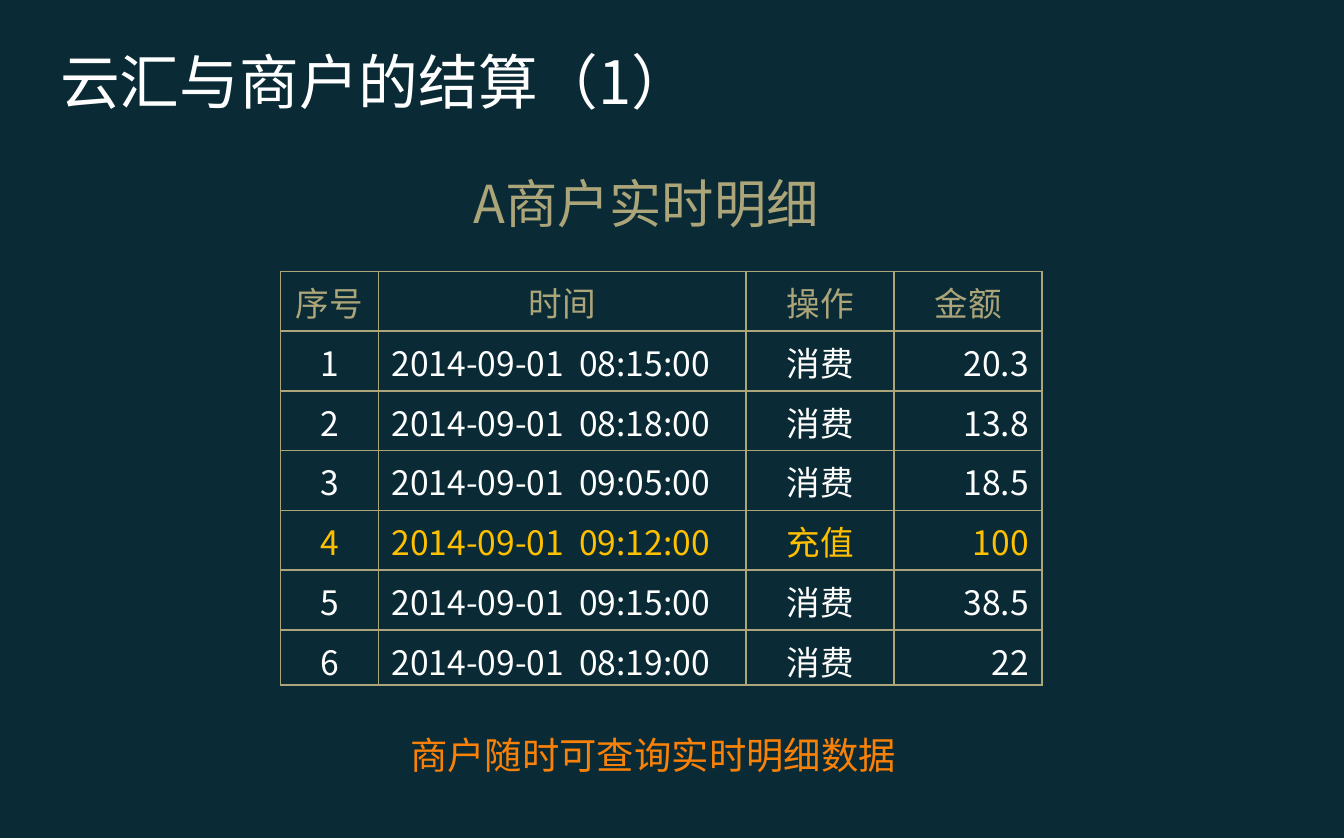
from lxml.etree import SubElement
from pptx import Presentation
from pptx.dml.color import RGBColor
from pptx.enum.text import MSO_ANCHOR as Anchor, MSO_AUTO_SIZE as AutoSize, PP_ALIGN as Align
from pptx.oxml.ns import qn
from pptx.util import Cm, Pt

FONT = "Noto Sans CJK TC"
NAVY, WHITE, KHAKI, GOLD, ORANGE = "0A2B35", "FFFFFF", "ADA57A", "FFC000", "FA8107"


def add_run(paragraph, text, size, color):
    run = paragraph.add_run()
    run.text = text
    font = run.font
    font.size, font.name, font.bold = Pt(size), FONT, False
    font.color.rgb = RGBColor.from_string(color)
    SubElement(font._element, qn("a:ea"), typeface=FONT)
    return run


def fill_line(box, text, size, color):
    """Put one left-aligned, vertically centred line of text in a box."""
    frame = box.text_frame
    frame.word_wrap = True
    frame.auto_size = AutoSize.NONE
    frame.vertical_anchor = Anchor.MIDDLE
    frame.margin_top = frame.margin_bottom = 0
    paragraph = frame.paragraphs[0]
    paragraph.alignment = Align.LEFT
    paragraph.line_spacing = 1.0
    paragraph.space_before = Pt(0)
    add_run(paragraph, text, size, color)


prs = Presentation()
prs.slide_width, prs.slide_height = Cm(25.4), Cm(15.84)
slide = prs.slides.add_slide(prs.slide_layouts[5])
slide.background.fill.solid()
slide.background.fill.fore_color.rgb = RGBColor.from_string(NAVY)

title = slide.shapes.title
title.left, title.top, title.width, title.height = Cm(0.88), Cm(0.71), Cm(22), Cm(1.63)
fill_line(title, "云汇与商户的结算（1）", 32, WHITE)

# Transaction details
header = ("序号", "时间", "操作", "金额")
transactions = [
    ("1", "2014-09-01 08:15:00", "消费", "20.3"),
    ("2", "2014-09-01 08:18:00", "消费", "13.8"),
    ("3", "2014-09-01 09:05:00", "消费", "18.5"),
    ("4", "2014-09-01 09:12:00", "充值", "100"),
    ("5", "2014-09-01 09:15:00", "消费", "38.5"),
    ("6", "2014-09-01 08:19:00", "消费", "22"),
]
rows = [header, *transactions]
column_widths = (1.85, 6.95, 2.8, 2.8)
row_heights = [1.13] * len(transactions) + [1.04]
body_alignments = (Align.CENTER, Align.LEFT, Align.CENTER, Align.RIGHT)

details = slide.shapes.add_table(
    len(rows), len(header), Cm(5.3), Cm(5.13), Cm(sum(column_widths)), Cm(sum(row_heights))
).table
details.first_row = details.horz_banding = False
for column, width in zip(details.columns, column_widths):
    column.width = Cm(width)
for row, height in zip(details.rows, row_heights):
    row.height = Cm(height)

for r, values in enumerate(rows):
    if r == 0:
        color = KHAKI
    else:
        color = GOLD if values[2] == "充值" else WHITE
    for c, value in enumerate(values):
        cell = details.cell(r, c)
        cell.margin_top, cell.margin_bottom = Cm(0.12), 0
        properties = cell._tc.get_or_add_tcPr()
        for side in ("a:lnL", "a:lnR", "a:lnT", "a:lnB"):
            border = SubElement(properties, qn(side), w=str(Pt(1)))
            SubElement(SubElement(border, qn("a:solidFill")), qn("a:srgbClr"), val=KHAKI)
        cell.fill.background()
        paragraph = cell.text_frame.paragraphs[0]
        paragraph.alignment = Align.CENTER if r == 0 else body_alignments[c]
        date, space, time = value.partition(" ")
        add_run(paragraph, date, 18, color)
        if space:
            # Letter spacing widens the gap between date and time
            add_run(paragraph, space, 18, color).font._element.set("spc", "400")
            add_run(paragraph, time, 18, color)

subtitle = slide.shapes.add_textbox(Cm(8.7), Cm(3.11), Cm(7.6), Cm(1.45))
fill_line(subtitle, "A商户实时明细", 28, KHAKI)
note = slide.shapes.add_textbox(Cm(7.5), Cm(13.71), Cm(10), Cm(1.12))
fill_line(note, "商户随时可查询实时明细数据", 20, ORANGE)

prs.save("out.pptx")
